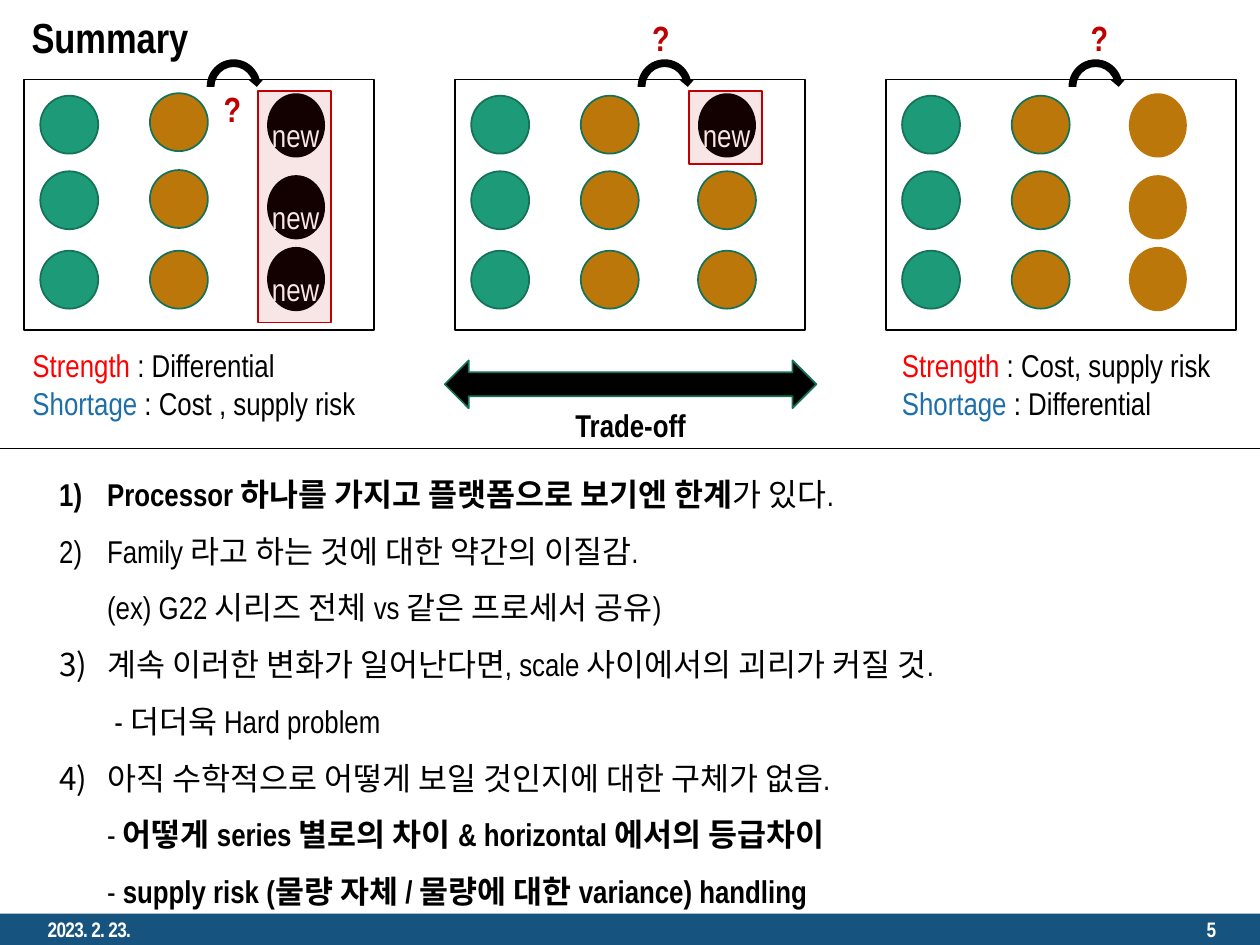
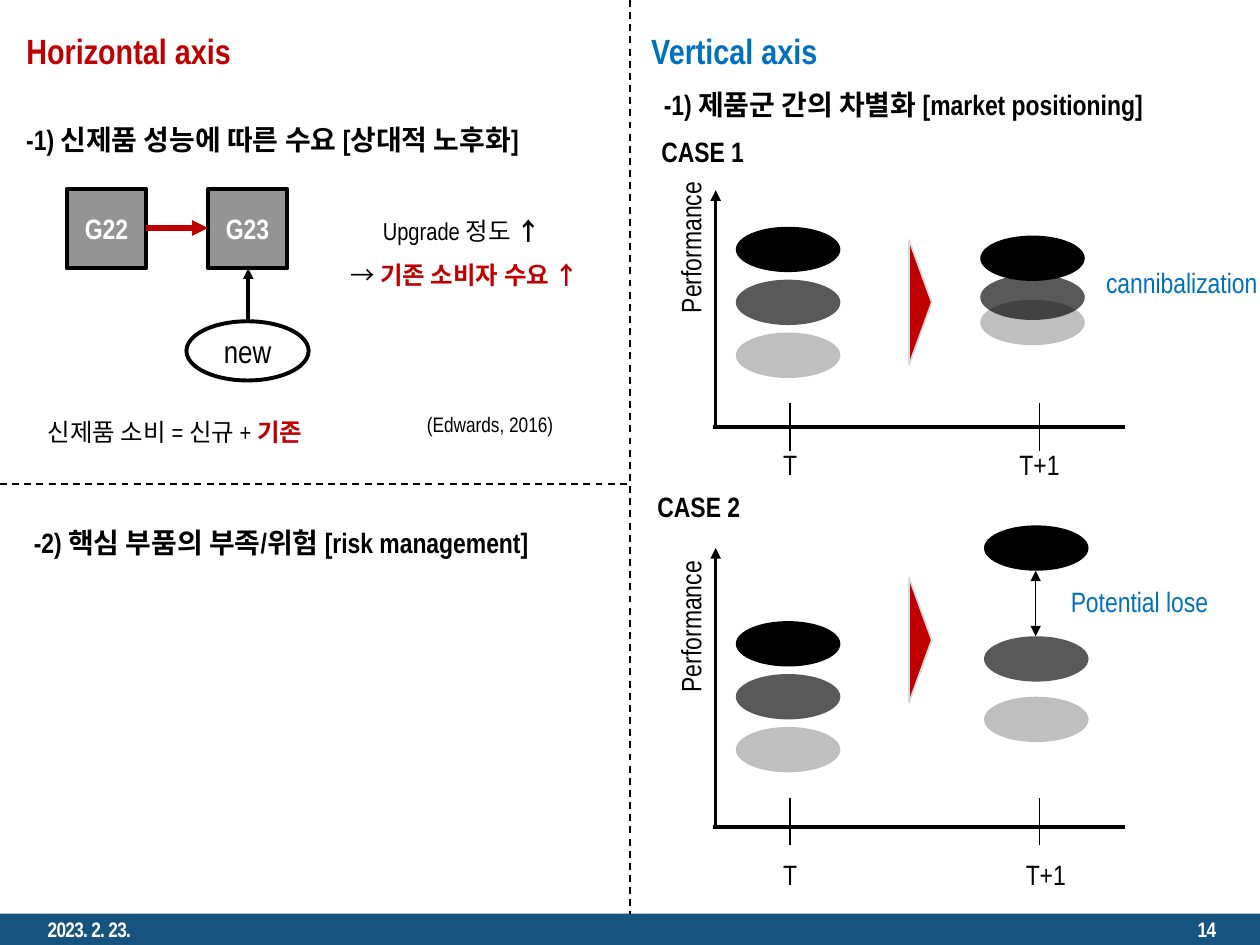
from lxml.etree import SubElement
from pptx import Presentation
from pptx.dml.color import RGBColor
from pptx.enum.dml import MSO_LINE
from pptx.enum.shapes import MSO_CONNECTOR, MSO_SHAPE
from pptx.enum.text import MSO_ANCHOR, MSO_AUTO_SIZE, PP_ALIGN
from pptx.oxml.ns import qn
from pptx.util import Inches, Pt

COLORS = {
    "black": "000000", "white": "FFFFFF", "band": "16537F", "green": "1D9A78",
    "edge": "157259", "ochre": "BC770B", "crimson": "C00000", "red": "FF0000",
    "steel": "1D6FA9", "blue": "0070C0", "gray": "949494", "pale": "D9D9D9",
}
FONT = "Arial Narrow"
LEFT, CENTER, RIGHT = PP_ALIGN.LEFT, PP_ALIGN.CENTER, PP_ALIGN.RIGHT
TOP, MIDDLE = MSO_ANCHOR.TOP, MSO_ANCHOR.MIDDLE
DOT = 0.46
DISC = (0.83, 0.36)


def rgb(name):
    return RGBColor.from_string(COLORS[name])


class Deck:
    """Holds the shared style and the current slide."""

    def __init__(self):
        self.prs = Presentation()
        self.prs.slide_width, self.prs.slide_height = Inches(10), Inches(7.5)

    def new_slide(self, layout, number):
        self.s = self.prs.slides.add_slide(self.prs.slide_layouts[layout])
        self.shape(MSO_SHAPE.RECTANGLE, (0, 7.25, 10, 0.25), "band")
        for x, text, align in ((0.28, "2023. 2. 23.", LEFT), (7.5, number, RIGHT)):
            self.text((x, 7.25, 2.25, 0.25), text, 12, "white", True, align,
                      anchor=MIDDLE, tracking=-40)

    def place(self, sp, at):
        for name, value in zip(("left", "top", "width", "height"), at):
            setattr(sp, name, Inches(value))

    def set_text(self, sp, paragraphs, size, color="black", bold=False, align=LEFT,
                 spacing=1.0, anchor=TOP, tracking=None):
        tf = sp.text_frame
        frame = {"word_wrap": True, "auto_size": MSO_AUTO_SIZE.NONE, "vertical_anchor": anchor}
        for name, value in frame.items():
            setattr(tf, name, value)
        if isinstance(paragraphs, str):
            paragraphs = [[(paragraphs, {})]]
        for i, runs in enumerate(paragraphs):
            p = tf.paragraphs[0] if i == 0 else tf.add_paragraph()
            layout = {"alignment": align, "line_spacing": spacing, "space_before": Pt(0)}
            for name, value in layout.items():
                setattr(p, name, value)
            for text, changes in runs:
                look = {"color": color, "bold": bold, **changes}
                for j, line in enumerate(text.split("\n")):
                    if j:
                        p.add_line_break()
                    if line:
                        self.add_run(p, line, size, look, tracking)
        return sp

    def add_run(self, p, text, size, look, tracking):
        r = p.add_run()
        r.text = text
        for name, value in {"name": FONT, "size": Pt(size), "bold": look["bold"]}.items():
            setattr(r.font, name, value)
        r.font.color.rgb = rgb(look["color"])
        if tracking:
            r._r.get_or_add_rPr().set("spc", str(tracking))

    def text(self, at, paragraphs, size, *args, rotation=0, **style):
        sp = self.s.shapes.add_textbox(*map(Inches, at))
        sp.rotation = rotation
        return self.set_text(sp, paragraphs, size, *args, **style)

    def title(self, at, text, size, color="black", **style):
        sp = self.s.shapes.title
        self.place(sp, at)
        return self.set_text(sp, text, size, color, True, **style)

    def numbered(self, at, items, size):
        sp = self.s.placeholders[1]
        self.place(sp, at)
        self.set_text(sp, items, size, spacing=1.5)
        for p in sp.text_frame.paragraphs:
            pPr = p._p.get_or_add_pPr()
            pPr.set("marL", str(Inches(0.38)))
            pPr.set("indent", str(-Inches(0.38)))
            SubElement(pPr, qn("a:buFont"), typeface="+mj-lt")
            SubElement(pPr, qn("a:buAutoNum"), type="arabicParenR")

    def shape(self, kind, at, fill=None, line=None, width=1, alpha=None, rotation=0):
        sp = self.s.shapes.add_shape(kind, *map(Inches, at))
        sp.shadow.inherit = False
        sp.rotation = rotation
        if fill:
            sp.fill.solid()
            sp.fill.fore_color.rgb = rgb(fill)
        else:
            sp.fill.background()
        if alpha:
            color = sp._element.spPr.find(qn("a:solidFill"))[0]
            SubElement(color, qn("a:alpha"), val=str(alpha * 1000))
        if line:
            sp.line.color.rgb = rgb(line)
            sp.line.width = Pt(width)
        else:
            sp.line.fill.background()
        return sp

    def line(self, start, end, width=1, color="black", dash=None, ends=()):
        c = self.s.shapes.add_connector(MSO_CONNECTOR.STRAIGHT, *map(Inches, start + end))
        c.line.color.rgb = rgb(color)
        c.line.width = Pt(width)
        if dash:
            c.line.dash_style = dash
        spPr = c._element.spPr
        for end_name in ends:
            SubElement(spPr.find(qn("a:ln")), qn(f"a:{end_name}"), type="triangle")
        SubElement(spPr, qn("a:effectLst"))

    def dots(self, x, tops, fill, line="edge", height=DOT):
        for y in tops:
            self.shape(MSO_SHAPE.OVAL, (x, y, DOT, height), fill, line)

    def discs(self, x, tops):
        for y, alpha in reversed(list(zip(tops, (None, 65, 25)))):
            self.shape(MSO_SHAPE.OVAL, (x, y, *DISC), "black", alpha=alpha)


def summary_slide(d):
    d.new_slide(1, "5")
    d.title((0.15, 0.05, 9.88, 0.48), "Summary", 24, anchor=MIDDLE)
    strong, plain = {"bold": True}, {}
    d.numbered((0.37, 3.57, 7.91, 3.68), [
        [("Processor 하나를 가지고 플랫폼으로 보기엔 한계", strong), ("가 있다.", plain)],
        [("Family 라고 하는 것에 대한 약간의 이질감.\n(ex) G22 시리즈 전체 vs 같은 프로세서 공유)", plain)],
        [("계속 이러한 변화가 일어난다면, scale 사이에서의 괴리가 커질 것.\n - 더더욱 Hard problem", plain)],
        [("아직 수학적으로 어떻게 보일 것인지에 대한 구체가 없음.\n- ", plain),
         ("어떻게 series 별로의 차이 & horizontal 에서의 등급차이\n", strong), ("- ", plain),
         ("supply risk (물량 자체 / 물량에 대한 variance) handling", strong)],
    ], 18)
    d.line((0, 3.56), (10, 3.56), 0.5)

    rows, tall_rows = (0.76, 1.36, 1.99), (0.74, 1.39, 1.96)
    panels = [
        ((0.74, 1.35, 1.99), tall_rows, (), (1.5, 0.62), 1.84),
        (rows, tall_rows[:1], rows[1:], (4.9, 0.06), 0.58),
        (rows, (), (), (8.38, 0.06), None),
    ]
    for i, (middle, new_rows, kept_rows, question, frame) in enumerate(panels):
        x = 0.19 + 3.42 * i
        d.dots(x + 0.13, rows, "green")
        d.dots(x + 1, middle, "ochre")
        d.shape(MSO_SHAPE.RECTANGLE, (x, 0.63, 2.78, 1.99), line="black")
        d.dots(x + 1.93, kept_rows, "ochre")
        d.dots(x + 1.93, new_rows, "black", None, 0.51)
        for y in new_rows:
            d.text((x + 1.87, y - 0.02, 0.62, 0.5), "new", 18, "white", spacing=1.5)
        if frame:
            d.shape(MSO_SHAPE.RECTANGLE, (x + 1.86, 0.72, 0.58, frame), "crimson", "crimson", alpha=10)
        else:
            d.dots(x + 1.93, tall_rows, "ochre", None, 0.51)
        d.shape(MSO_SHAPE.CIRCULAR_ARROW, (x + 1.42, 0.44, 0.49, 0.5), "black")
        d.text((*question, 0.69, 0.48), "?", 20, "crimson", True, CENTER, anchor=MIDDLE)

    for x, strength, shortage in ((0.16, "Differential", "Cost , supply risk"),
                                  (7.06, "Cost, supply risk", "Differential")):
        d.text((x, 2.7, 2.8, 0.71), [
            [("Strength", {"color": "red"}), (f" : {strength}", plain)],
            [("Shortage", {"color": "steel"}), (f" : {shortage}", plain)],
        ], 18)
    d.shape(MSO_SHAPE.LEFT_RIGHT_ARROW, (3.53, 2.86, 2.95, 0.38), "black", "edge")
    d.text((3.53, 3.17, 2.95, 0.4), "Trade-off", 18, "black", True, CENTER)


def draw_case(d, label, label_at, axis, tick_y, before, after, note, note_at, after_label_at,
              mark_y, name_y):
    top, base = axis
    d.text((*label_at, 1.47, 0.37), label, 16, bold=True)
    d.discs(5.84, [before + 0.42 * i for i in range(3)])
    d.discs(*after)
    d.line((5.68, base), (5.68, top), 2, ends=["tailEnd"])
    d.line((5.66, base), (8.93, base), 2.25)
    for x in (6.27, 8.25):
        d.line((x, tick_y + 0.19), (x, tick_y - 0.19))
    for at, text in (((5.61, after_label_at[1]), "T"), (after_label_at, "T+1")):
        d.text((*at, 1.32, 0.37), text, 16, align=CENTER)
    d.shape(MSO_SHAPE.ISOSCELES_TRIANGLE, (6.81, mark_y, 0.99, 0.18), "crimson", "pale", rotation=90)
    d.text((4.46, name_y, 2.04, 0.37), "Performance", 16, align=RIGHT, rotation=270)
    d.text((*note_at, 1.47, 0.37), note, 16, "blue")


def axes_slide(d):
    d.new_slide(5, "14")
    d.title((0.11, 0.02, 4.6, 0.54), "Horizontal axis", 20, "crimson", spacing=1.5)
    d.text((5.07, 0.02, 1.76, 0.54), "Vertical axis", 20, "blue", True, spacing=1.5)
    for x, y, heading in ((0.11, 0.79, "-1) 신제품 성능에 따른 수요 [상대적 노후화]"),
                          (0.17, 3.99, "-2) 핵심 부품의 부족/위험 [risk management]"),
                          (5.17, 0.51, "-1) 제품군 간의 차별화 [market positioning]")):
        d.text((x, y, 4.6, 0.45), heading, 16, bold=True, spacing=1.5)
    d.line((5, 0), (5, 7.25), dash=MSO_LINE.DASH)
    d.line((0, 3.84), (5, 3.84), dash=MSO_LINE.DASH)

    for x, model in ((0.53, "G22"), (1.65, "G23")):
        box = d.shape(MSO_SHAPE.RECTANGLE, (x, 1.5, 0.63, 0.63), "gray", "black", 2.5)
        d.set_text(box, model, 16, "white", True, CENTER, anchor=MIDDLE)
    d.line((1.16, 1.81), (1.65, 1.81), 3, "crimson", ends=["tailEnd"])
    d.line((1.97, 2.55), (1.97, 2.13), 2, ends=["tailEnd"])
    new = d.shape(MSO_SHAPE.OVAL, (1.48, 2.55, 0.97, 0.47), "white", "black", 2.25)
    d.set_text(new, "new", 18, align=CENTER, anchor=MIDDLE)

    accent = {"color": "crimson", "bold": True}
    d.text((0.28, 3.14, 2.52, 0.41), [[("신제품 소비 = 신규 + ", {}), ("기존", accent)]], 14, spacing=1.5)
    demand = d.text((2.68, 1.55, 2.03, 0.76), [
        [("Upgrade 정도 ", {}), ("↑", {"bold": True})],
        [("→ ", {}), ("기존 소비자 수요 ↑", accent)],
    ], 14, spacing=1.5)
    demand.text_frame.paragraphs[0]._p.get_or_add_pPr().set("marL", str(Inches(0.26)))
    d.text((3.29, 3.22, 1.28, 0.3), "(Edwards, 2016)", 12)

    draw_case(d, "CASE 1", (5.15, 1.02), (1.51, 3.39), 3.39, 1.8, (7.78, (1.87, 2.18, 2.38)),
              "cannibalization", (8.68, 2.06), (7.59, 3.5), 2.31, 2.18)
    draw_case(d, "CASE 2", (5.12, 3.84), (4.35, 6.56), 6.52, 4.93, (7.81, (4.17, 5.05, 5.53)),
              "Potential lose", (8.4, 4.59), (7.64, 6.76), 4.99, 5.19)
    d.line((8.22, 4.53), (8.22, 5.05), 0.5, ends=["headEnd", "tailEnd"])


def main():
    d = Deck()
    summary_slide(d)
    axes_slide(d)
    d.prs.save("out.pptx")


if __name__ == "__main__":
    main()
